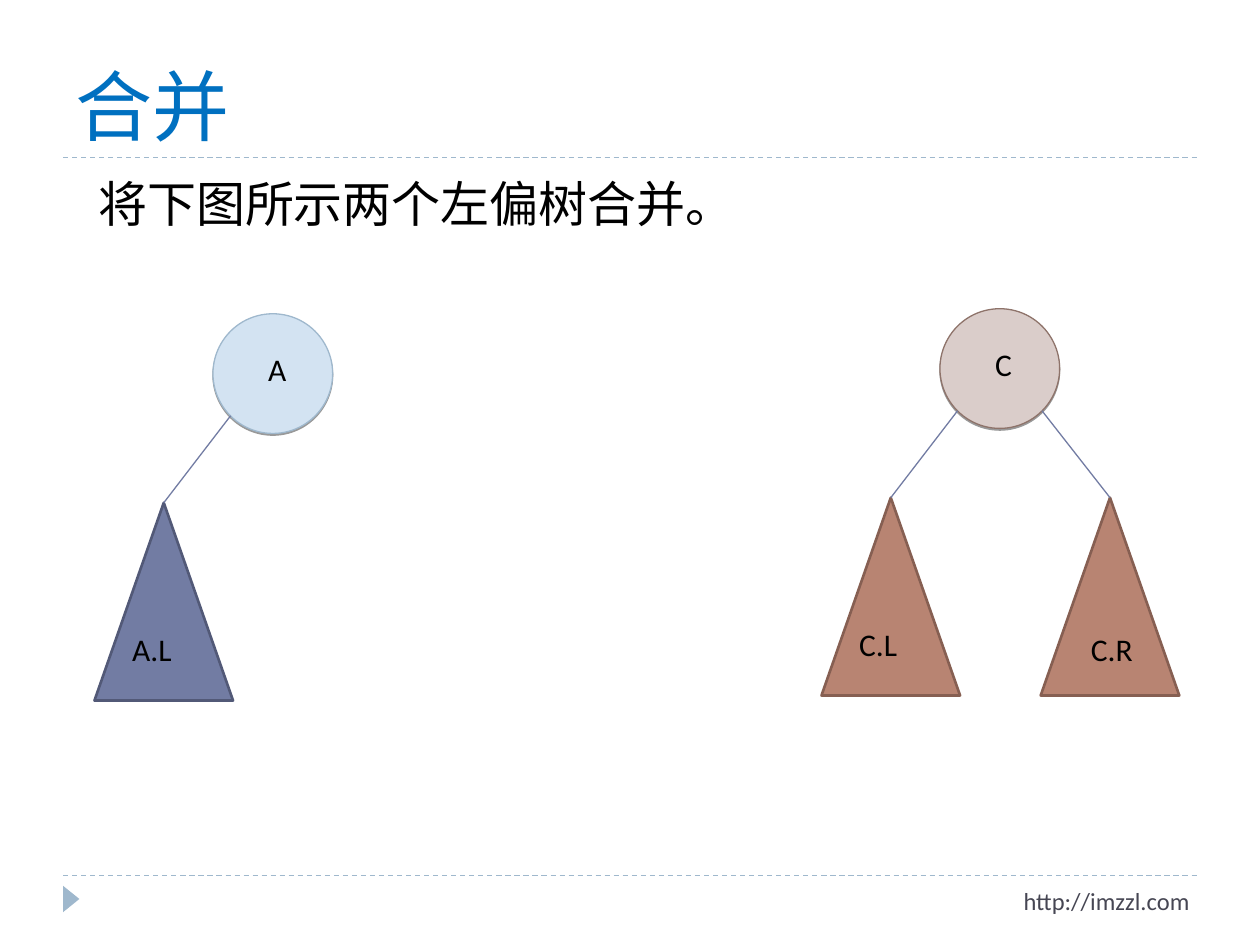
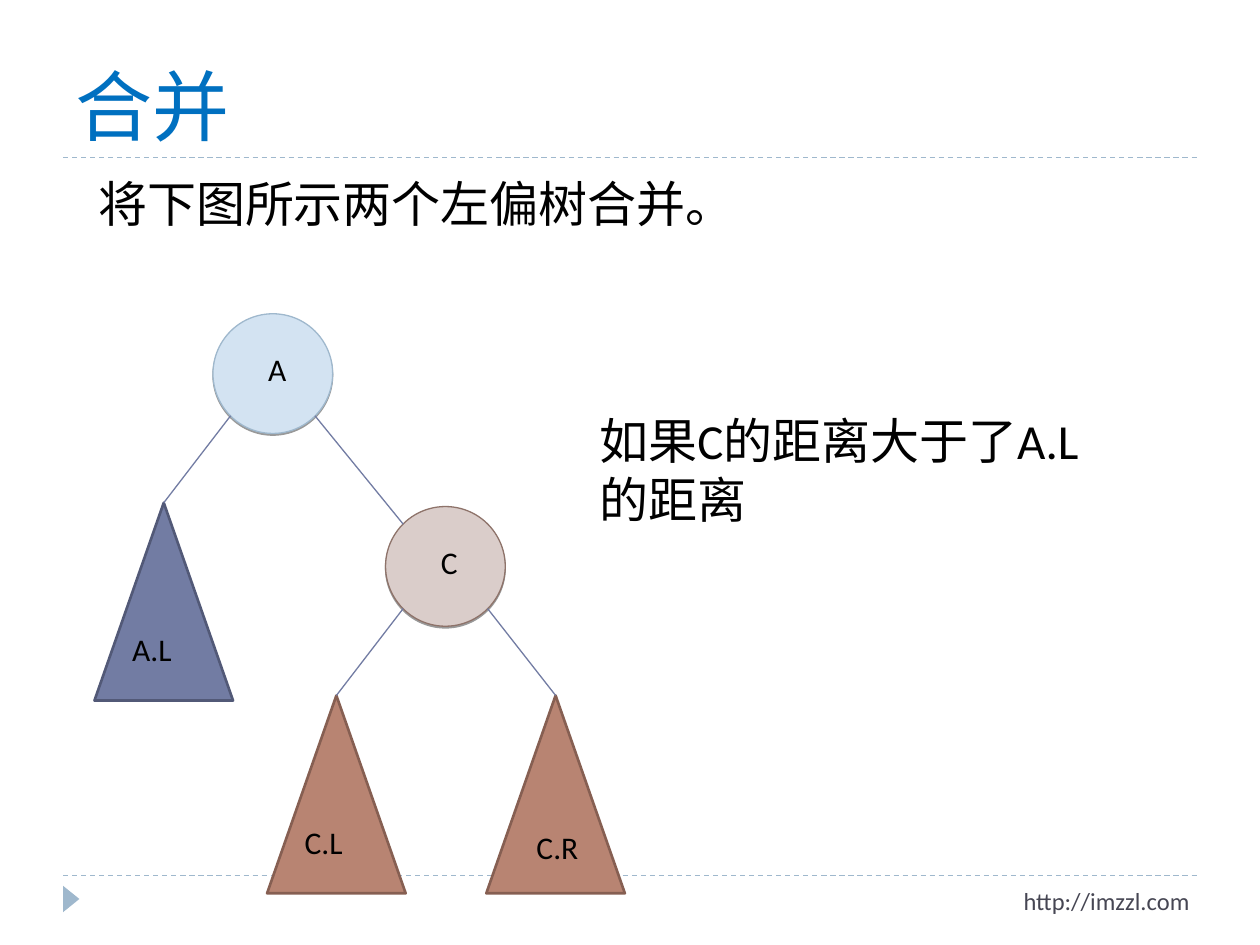
from lxml import etree
from pptx import Presentation
from pptx.dml.color import RGBColor
from pptx.enum.dml import MSO_LINE
from pptx.enum.shapes import MSO_CONNECTOR, MSO_SHAPE
from pptx.enum.text import MSO_ANCHOR, MSO_AUTO_SIZE, PP_ALIGN
from pptx.oxml.ns import qn
from pptx.util import Inches, Pt

STRAIGHT = MSO_CONNECTOR.STRAIGHT
DASH = MSO_LINE.DASH
ELLIPSE, TRIANGLE = MSO_SHAPE.OVAL, MSO_SHAPE.ISOSCELES_TRIANGLE
LEFT, RIGHT = PP_ALIGN.LEFT, PP_ALIGN.RIGHT
TOP, BOTTOM = MSO_ANCHOR.TOP, MSO_ANCHOR.BOTTOM
FIT_SHAPE, NO_FIT = MSO_AUTO_SIZE.SHAPE_TO_FIT_TEXT, MSO_AUTO_SIZE.NONE

LATIN, CJK = "Calibri", "Noto Sans CJK SC"
BLACK, BLUE, GREY = "000000", "0070C0", "464653"
ACCENT, LINK = "9FB8CD", "727CA3"
BLUE_TREE = {"root": ("D3E3F2", ACCENT), "leaf": (LINK, "525977")}
BROWN_TREE = {"root": ("DACDCA", "8E736A"), "leaf": ("B88472", "865F52")}
A_ROOT = (1.69, 2.49)


def rgb(hex_color):
    """Turn a hex string into a colour."""
    return RGBColor.from_string(hex_color)


def inches(*values):
    """Convert numbers to lengths in inches."""
    return [Inches(v) for v in values]


class Deck:
    """Hold the shared style and the current slide."""

    def __init__(self):
        """Start an empty 10 by 7.5 inch presentation."""
        self.prs = Presentation()
        self.prs.slide_width, self.prs.slide_height = inches(10, 7.5)

    def slide(self, title, body):
        """Add a slide with title, body line, rules and footer."""
        self.s = self.prs.slides.add_slide(self.prs.slide_layouts[1])
        self.parent = self.s.shapes
        head, text = self.s.placeholders
        self.place(head, 0.5, 0.17, 9, 1.08)
        self.fill_text(head, title, 44, BLUE, CJK, anchor=BOTTOM)
        self.place(text, 0.5, 1.33, 9, 5.4)
        self.fill_text(text, body, 28, indent=0.18)
        for y in (6.95, 1.25):
            self.line((0.5, y), (9.5, y), ACCENT).line.dash_style = DASH
        self.shape(TRIANGLE, (0.46, 7.07, 0.21, 0.13), ACCENT).rotation = 90
        self.text("http://imzzl.com", 5.71, 6.98, 3.83, 14, GREY, RIGHT)

    def place(self, sp, *box):
        """Move and size a shape."""
        for name, value in zip(("left", "top", "width", "height"), inches(*box)):
            setattr(sp, name, value)

    def fill_text(self, sp, text, size, color=BLACK, font=LATIN, align=LEFT,
                  anchor=TOP, fit=NO_FIT, indent=0):
        """Put one formatted paragraph into a shape."""
        tf = sp.text_frame
        frame = {"word_wrap": True, "auto_size": fit, "vertical_anchor": anchor}
        for name, value in frame.items():
            setattr(tf, name, value)
        p = tf.paragraphs[0]
        pPr = p._p.get_or_add_pPr()
        pPr.set("marL", str(Inches(indent)))
        pPr.set("indent", "0")
        etree.SubElement(pPr, qn("a:buNone"))
        p.alignment, p.space_before = align, Pt(0)
        r = p.add_run()
        r.text = text
        for name, value in {"size": Pt(size), "name": font}.items():
            setattr(r.font, name, value)
        r.font.color.rgb = rgb(color)
        etree.SubElement(r._r.rPr, qn("a:ea")).set("typeface", CJK)

    def text(self, text, x, y, w, size=18, color=BLACK, align=LEFT, h=0.4):
        """Add a text box."""
        sp = self.parent.add_textbox(*inches(x, y, w, h))
        self.fill_text(sp, text, size, color, align=align, fit=FIT_SHAPE)

    def line(self, start, end, color=LINK):
        """Add a thin straight connector without shadow."""
        sp = self.parent.add_connector(STRAIGHT, *inches(*start, *end))
        sp.line.color.rgb, sp.line.width = rgb(color), Pt(0.75)
        etree.SubElement(sp._element.spPr, qn("a:effectLst"))
        return sp

    def shape(self, kind, box, fill, outline=None, width=0.75):
        """Add a filled preset shape."""
        sp = self.parent.add_shape(kind, *inches(*box))
        sp.shadow.inherit = False
        sp.fill.solid()
        sp.fill.fore_color.rgb = rgb(fill)
        if outline:
            sp.line.color.rgb, sp.line.width = rgb(outline), Pt(width)
        else:
            sp.line.fill.background()
        return sp

    def drop_shadow(self, sp):
        """Give a shape a narrow shadow below."""
        effects = sp._element.spPr.find(qn("a:effectLst"))
        shadow = etree.SubElement(effects, qn("a:outerShdw"), blurRad="0",
                                  dist=str(Pt(1)), dir="5400000", rotWithShape="0")
        color = etree.SubElement(shadow, qn("a:srgbClr"), val=BLACK)
        etree.SubElement(color, qn("a:alpha"), val="40000")

    def tree(self, name, root, colors, right=False):
        """Add a root node with a left and, if wanted, a right subtree."""
        x, y = root
        self.parent = self.s.shapes.add_group_shape().shapes
        node = self.shape(ELLIPSE, (x, y, 0.95, 0.95), *colors["root"])
        self.drop_shadow(node)
        self.text(name, x + 0.34, y + 0.24, 0.92)
        self.subtree(f"{name}.L", x - 0.94, y, x + 0.14, 0.2, 2.46, colors)
        if right:
            self.subtree(f"{name}.R", x + 0.8, y, x + 0.81, 0.3, 2.5, colors)
        self.parent = self.s.shapes

    def subtree(self, name, x, y, link_x, label_dx, label_dy, colors):
        """Add a labelled triangle linked to its root."""
        sp = self.shape(TRIANGLE, (x, y + 1.5, 1.1, 1.57), *colors["leaf"], 1.5)
        link = self.line((link_x, y + 0.81), (x + 0.55, y + 1.5))
        link.end_connect(sp, 0)
        self.text(name, x + label_dx, y + label_dy, 1)


def main():
    """Build both slides and save them."""
    deck = Deck()
    for c_root in ((7.46, 2.45), (3.06, 4.02)):
        deck.slide("合并", "将下图所示两个左偏树合并。")
        deck.tree("A", A_ROOT, BLUE_TREE)
        deck.tree("C", c_root, BROWN_TREE, right=True)
    deck.line((2.5, 3.3), (3.2, 4.16))
    deck.text("如果C的距离大于了A.L的距离", 4.66, 3.21, 4.25, 28, h=1.04)
    deck.prs.save("out.pptx")


if __name__ == "__main__":
    main()
